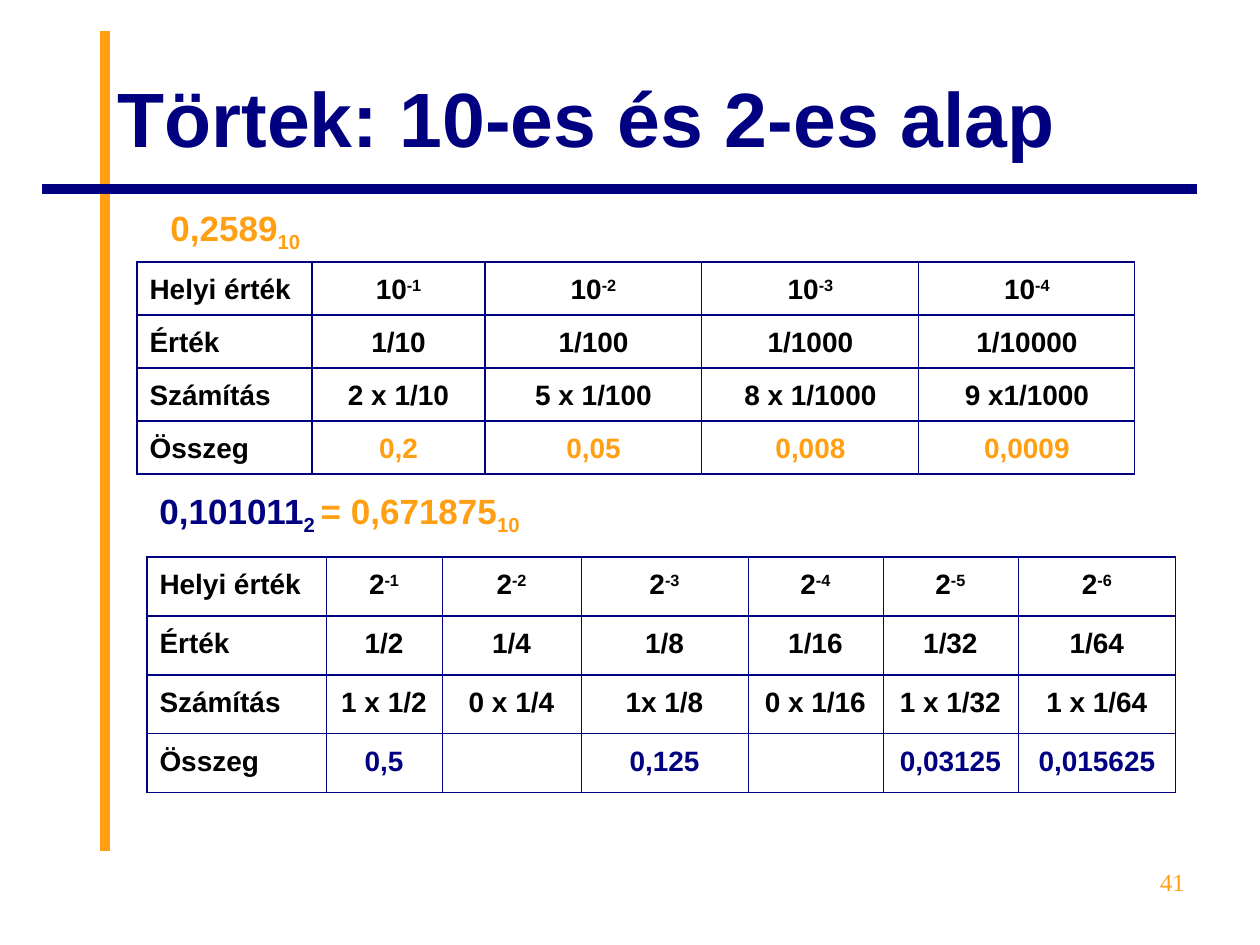
from lxml.etree import SubElement
from pptx import Presentation
from pptx.dml.color import RGBColor
from pptx.enum.shapes import MSO_CONNECTOR
from pptx.enum.text import MSO_ANCHOR, MSO_AUTO_SIZE, PP_ALIGN
from pptx.oxml.ns import qn
from pptx.util import Emu, Pt

COLORS = {"navy": "000080", "orange": "FF9F11", "black": "000000"}
PX = 914400 / 126
SUPER, SUB = "30000", "-25000"


def px(*lengths):
    return [Emu(round(length * PX)) for length in lengths]


def write_runs(paragraph, runs, size, font="Arial", bold=True):
    """Add runs given as (text, colour, baseline shift or None)."""
    for text, color, baseline in runs:
        run = paragraph.add_run()
        run.text = text
        run.font.name, run.font.size, run.font.bold = font, Pt(size), bold
        run.font.color.rgb = RGBColor.from_string(COLORS[color])
        if baseline:
            run._r.get_or_add_rPr().set("baseline", baseline)


prs = Presentation()
prs.slide_width, prs.slide_height = px(1260, 945)
slide = prs.slides.add_slide(prs.slide_layouts[5])

# Crossing rules behind the title
for ends, color in [((105, 851, 105, 31), "orange"), ((1197, 189, 42, 189), "navy")]:
    rule = slide.shapes.add_connector(MSO_CONNECTOR.STRAIGHT, *px(*ends))
    rule.line.color.rgb = RGBColor.from_string(COLORS[color])
    rule.line.width = Pt(5.5)
    SubElement(rule._element.spPr, qn("a:effectLst"))

# Title
title = slide.shapes.title
title.left, title.top, title.width, title.height = px(105, 38, 1092, 157)
title.text_frame.auto_size = MSO_AUTO_SIZE.NONE
title.text_frame.vertical_anchor = MSO_ANCHOR.MIDDLE
title.text_frame.paragraphs[0].alignment = PP_ALIGN.LEFT
write_runs(title.text_frame.paragraphs[0],
           [("Törtek: 10-es és 2-es alap", "navy", None)], 44)

# Place-value tables: frame, column widths, base, body rows, sum colour, inner line
decimal_table = (
    (137, 262), (175, 173, 217, 217, 216), 53, "10",
    [["Érték", "1/10", "1/100", "1/1000", "1/10000"],
     ["Számítás", "2 x 1/10", "5 x 1/100", "8 x 1/1000", "9 x1/1000"],
     ["Összeg", "0,2", "0,05", "0,008", "0,0009"]],
    "orange", 0.75)
binary_table = (
    (147, 557), (179, 116, 139, 167, 135, 135, 158), 59, "2",
    [["Érték", "1/2", "1/4", "1/8", "1/16", "1/32", "1/64"],
     ["Számítás", "1 x 1/2", "0 x 1/4", "1x 1/8", "0 x 1/16", "1 x 1/32", "1 x 1/64"],
     ["Összeg", "0,5", "", "0,125", "", "0,03125", "0,015625"]],
    "navy", 0.45)

for corner, widths, row_height, base, body, sum_color, inner_line in (decimal_table, binary_table):
    rows = [["Helyi érték"] + [base] * (len(widths) - 1)] + body
    table = slide.shapes.add_table(
        len(rows), len(widths),
        *px(*corner, sum(widths), row_height * len(rows))).table
    table.first_row = table.horz_banding = False
    for column, width in zip(table.columns, px(*widths)):
        column.width = width

    last_row, last_col = len(rows) - 1, len(widths) - 1
    for r, row in enumerate(rows):
        for c, text in enumerate(row):
            cell = table.cell(r, c)

            # Borders
            tc_pr = cell._tc.get_or_add_tcPr()
            line_widths = {"L": 0.75 if c == 0 else inner_line,
                           "R": 0.75 if c == last_col else inner_line,
                           "T": 0.75, "B": 0.75}
            for side, width in line_widths.items():
                border = SubElement(tc_pr, qn(f"a:ln{side}"), w=str(Pt(width)))
                fill = SubElement(border, qn("a:solidFill"))
                SubElement(fill, qn("a:srgbClr"), val=COLORS["navy"])
            cell.fill.background()

            # Content
            paragraph = cell.text_frame.paragraphs[0]
            paragraph.line_spacing = 1.2
            paragraph.alignment = PP_ALIGN.CENTER if c else PP_ALIGN.LEFT
            color = sum_color if c and r == last_row else "black"
            runs = [(text, color, None)] if text else []
            if r == 0 and c:
                runs.append((f"-{c}", color, SUPER))
            write_runs(paragraph, runs, 16)

# Numbers above the tables
numbers = [
    ((158, 200, 336, 60), [("0,2589", "orange", None), ("10", "orange", SUB)]),
    ((147, 483, 410, 60), [("0,101011", "navy", None), ("2 ", "navy", SUB),
                           ("= 0,671875", "orange", None), ("10", "orange", SUB)]),
]
for frame, runs in numbers:
    number = slide.shapes.add_textbox(*px(*frame)).text_frame
    number.word_wrap = True
    write_runs(number.paragraphs[0], runs, 20)

# Page number
page_number = slide.shapes.add_textbox(*px(903, 861, 294, 66)).text_frame
page_number.word_wrap = True
page_number.paragraphs[0].alignment = PP_ALIGN.RIGHT
write_runs(page_number.paragraphs[0], [("41", "orange", None)], 14, "Times New Roman", False)

prs.save("out.pptx")
